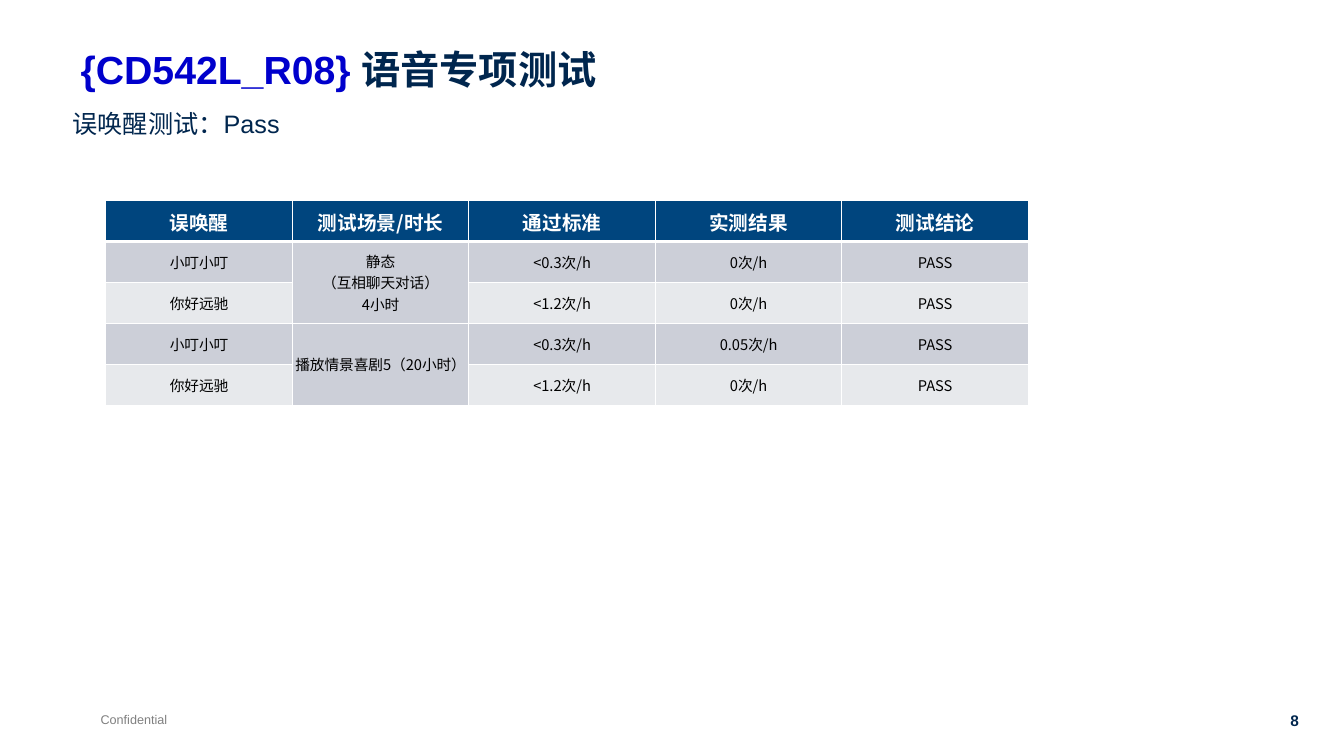
from dataclasses import dataclass

from lxml import etree
from pptx import Presentation
from pptx.dml.color import RGBColor
from pptx.enum.text import MSO_ANCHOR, MSO_AUTO_SIZE, PP_ALIGN
from pptx.oxml.ns import qn
from pptx.util import Inches, Pt

LEFT, CENTER, RIGHT = PP_ALIGN.LEFT, PP_ALIGN.CENTER, PP_ALIGN.RIGHT
MIDDLE = MSO_ANCHOR.MIDDLE
FIT = MSO_AUTO_SIZE.SHAPE_TO_FIT_TEXT
TITLE_ONLY = 5


@dataclass(frozen=True)
class Theme:
    latin: str = "Arial"
    asian: str = "Noto Sans CJK SC"
    navy: str = "00264E"
    blue: str = "0000CC"
    gray: str = "808080"
    black: str = "000000"
    white: str = "FFFFFF"
    head: str = "00457E"
    bands: tuple = ("CCCFD8", "E7E9EC")
    title: float = 28
    lead: float = 18
    label: float = 14
    cell: float = 10.5
    page: float = 11
    foot: float = 9


def write(para, text, size, color, bold=False, latin="Arial", asian="Noto Sans CJK SC",
          align=LEFT):
    """Add text to a paragraph, with a line break at each newline."""
    para.alignment = align
    for i, line in enumerate(text.split("\n")):
        if i:
            para.add_line_break()
        run = para.add_run()
        run.text = line
        font = run.font
        font.name, font.size, font.bold = latin, Pt(size), bold
        font.color.rgb = RGBColor.from_string(color)
        etree.SubElement(run._r.rPr, qn("a:ea"), typeface=asian)
        # The schema wants the East Asian face right after the Latin one.
        run._r.rPr.find(qn("a:latin")).addnext(run._r.rPr.find(qn("a:ea")))


def edge(cell, color, base):
    """Draw the four borders of a cell; base is the bottom width in points."""
    props = cell._tc.get_or_add_tcPr()
    widths = {"lnL": 1, "lnR": 1, "lnT": 1, "lnB": base}
    for i, (tag, width) in enumerate(widths.items()):
        line = etree.Element(qn(f"a:{tag}"), w=str(Pt(width)))
        fill = etree.SubElement(line, qn("a:solidFill"))
        etree.SubElement(fill, qn("a:srgbClr"), val=color)
        props.insert(i, line)


class Deck:
    def __init__(self, theme):
        self.theme = theme
        self.prs = Presentation()
        self.prs.slide_width, self.prs.slide_height = Inches(13.33), Inches(7.5)
        self.slide = self.prs.slides.add_slide(self.prs.slide_layouts[TITLE_ONLY])

    def title(self, parts, left, top, width, height):
        shape = self.slide.shapes.title
        shape.left, shape.top = Inches(left), Inches(top)
        shape.width, shape.height = Inches(width), Inches(height)
        frame = shape.text_frame
        frame.vertical_anchor = MIDDLE
        para = frame.paragraphs[0]
        para.line_spacing = 0.9
        for text, color in parts:
            write(para, text, self.theme.title, color, bold=True)

    def text(self, text, left, top, width, height, wrap=False, **style):
        box = self.slide.shapes.add_textbox(
            Inches(left), Inches(top), Inches(width), Inches(height))
        frame = box.text_frame
        frame.word_wrap, frame.auto_size = wrap, FIT
        write(frame.paragraphs[0], text, **style)

    def table(self, rows, widths, left, top, height, spans):
        theme = self.theme
        grid = self.slide.shapes.add_table(
            len(rows), len(widths), Inches(left), Inches(top),
            Inches(sum(widths)), Inches(height)).table
        for col, width in zip(grid.columns, widths):
            col.width = Inches(width)
        for r, row in enumerate(rows):
            for c, text in enumerate(row):
                self.cell(grid.cell(r, c), text, r)
        for r, c in spans:
            grid.cell(r, c).merge(grid.cell(r + 1, c))

    def cell(self, cell, text, row):
        theme, head = self.theme, row == 0
        cell.vertical_anchor = MIDDLE
        pad = Inches(0.01 if head else 0)
        cell.margin_left = cell.margin_right = cell.margin_top = pad
        cell.margin_bottom = 0
        cell.fill.solid()
        cell.fill.fore_color.rgb = RGBColor.from_string(
            theme.head if head else theme.bands[(row - 1) % 2])
        edge(cell, theme.white, 3 if head else 1)
        if text:
            write(cell.text_frame.paragraphs[0], text,
                  theme.label if head else theme.cell,
                  theme.white if head else theme.black,
                  bold=head, latin=theme.asian, align=CENTER)


def main():
    theme = Theme()
    deck = Deck(theme)
    deck.text("Confidential", 0.9, 7.01, 0.87, 0.25,
              size=theme.foot, color=theme.gray)
    deck.text("8", 12.59, 7.01, 0.39, 0.29, wrap=True,
              size=theme.page, color=theme.navy, bold=True, align=RIGHT)
    deck.title([("{CD542L_R08} ", theme.blue), ("语音专项测试", theme.navy)],
               0.7, 0.4, 11.85, 0.63)
    deck.text("误唤醒测试：Pass", 0.62, 1.03, 11.93, 0.4, wrap=True,
              size=theme.lead, color=theme.navy)
    rows = [
        ["误唤醒", "测试场景/时长", "通过标准", "实测结果", "测试结论"],
        ["小叮小叮", "静态\n（互相聊天对话）\n4小时", "<0.3次/h", "0次/h", "PASS"],
        ["你好远驰", "", "<1.2次/h", "0次/h", "PASS"],
        ["小叮小叮", "播放情景喜剧5（20小时）", "<0.3次/h", "0.05次/h", "PASS"],
        ["你好远驰", "", "<1.2次/h", "0次/h", "PASS"],
    ]
    deck.table(rows, [1.85, 1.75, 1.85, 1.85, 1.85], 1.05, 1.99, 2.03,
               spans=[(1, 1), (3, 1)])
    deck.prs.save("out.pptx")


if __name__ == "__main__":
    main()
